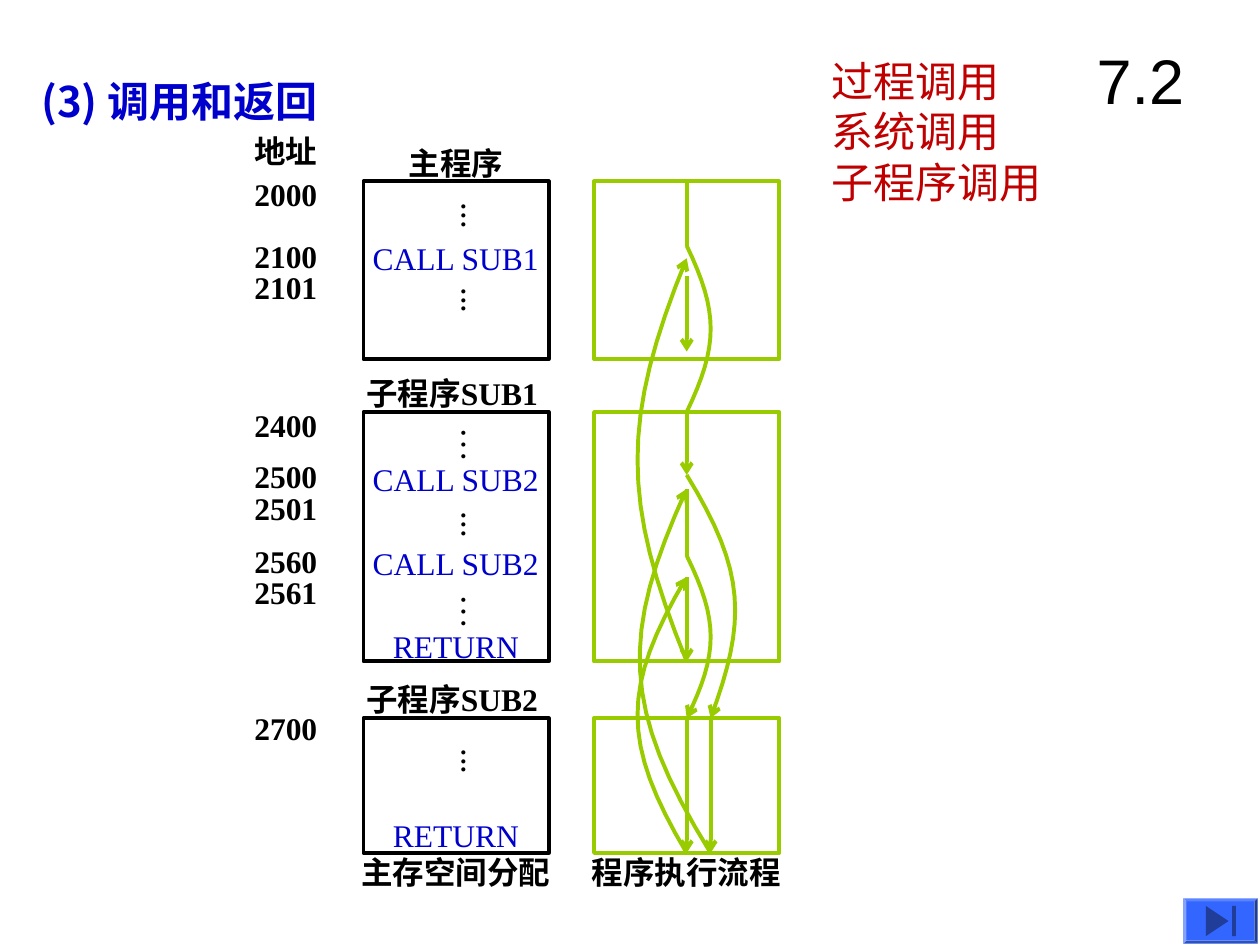
"""Build the slide on subroutine calls and returns."""
from dataclasses import dataclass

from lxml.etree import SubElement
from pptx import Presentation
from pptx.dml.color import RGBColor
from pptx.enum.shapes import MSO_CONNECTOR, MSO_SHAPE
from pptx.enum.text import MSO_ANCHOR, PP_ALIGN
from pptx.oxml.ns import qn
from pptx.util import Inches, Pt

COLORS = {
    "black": "000000", "blue": "0000CC", "green": "99CC00",
    "red": "C00000", "button": "3366FF", "symbol": "1F3D99",
}
CJK = "Noto Sans CJK SC"
SERIF = "Times New Roman"
LINE_WIDTH = 2.25
CURVE_STEPS = 16

ADDRESS_CENTER = 2.27
MEMORY_CENTER = 3.62
FLOW_CENTER = 5.45
SECOND_PASS = 5.64
ELLIPSIS_CENTER = 3.73
BLOCK_WIDTH = 1.47
TITLE_RISE = 0.35


@dataclass
class Program:
    title: str
    title_width: float
    top: float
    height: float
    addresses: dict
    instructions: list
    ellipses: list

    @property
    def bottom(self):
        return self.top + self.height


MAIN = Program(
    "主程序", 0.95, 1.44, 1.41,
    addresses={"2000": 1.34, "2100": 1.83, "2101": 2.08},
    instructions=[("CALL SUB1", 1.85)],
    ellipses=[("...", 1.51), ("...", 2.18)])
SUB1 = Program(
    "子程序SUB1", 1.62, 3.27, 1.98,
    addresses={"2400": 3.17, "2500": 3.58, "2501": 3.83,
               "2560": 4.25, "2561": 4.5},
    instructions=[("CALL SUB2", 3.6), ("CALL SUB2", 4.27), ("RETURN", 4.93)],
    ellipses=[("…", 3.29), ("...", 3.96), ("…", 4.62)])
SUB2 = Program(
    "子程序SUB2", 1.62, 5.7, 1.07,
    addresses={"2700": 5.58},
    instructions=[("RETURN", 6.43)],
    ellipses=[("...", 5.84)])
PROGRAMS = [MAIN, SUB1, SUB2]

INSTRUCTION_WIDTHS = {"CALL SUB1": 1.52, "CALL SUB2": 1.52, "RETURN": 1.2}
ELLIPSIS_HEIGHTS = {"...": 0.31, "…": 0.38}

CALL_SUB1, AFTER_SUB1, MAIN_END = 1.95, 2.05, 2.79
FIRST_CALL_SUB2, AFTER_FIRST = 3.77, 3.88
SECOND_CALL_SUB2, AFTER_SECOND = 4.41, 4.58

# Each step is (x, start, end, has arrowhead).
STEPS = [
    (FLOW_CENTER, MAIN.top, CALL_SUB1, False),
    (FLOW_CENTER, AFTER_SUB1 + 0.14, MAIN_END, True),
    (FLOW_CENTER, SUB1.top, FIRST_CALL_SUB2, True),
    (FLOW_CENTER, AFTER_FIRST, SECOND_CALL_SUB2, False),
    (FLOW_CENTER, AFTER_SECOND, SUB1.bottom, True),
    (FLOW_CENTER, SUB2.top, SUB2.bottom, True),
    (SECOND_PASS, SUB2.top, SUB2.bottom, True),
]
# Each jump is (start, end, x at the middle of the bend, has arrowhead).
JUMPS = [
    ((FLOW_CENTER, CALL_SUB1), (FLOW_CENTER, SUB1.top), 5.64, False),
    ((FLOW_CENTER, FIRST_CALL_SUB2), (SECOND_PASS, SUB2.top), 5.83, True),
    ((FLOW_CENTER, SECOND_CALL_SUB2), (FLOW_CENTER, SUB2.top), 5.64, True),
    ((SECOND_PASS, SUB2.bottom), (FLOW_CENTER, AFTER_FIRST), 5.08, True),
    ((FLOW_CENTER, SUB2.bottom), (FLOW_CENTER, AFTER_SECOND), 5.06, True),
    ((FLOW_CENTER, SUB1.bottom), (FLOW_CENTER, AFTER_SUB1), 5.06, True),
]


def rgb(name):
    return RGBColor.from_string(COLORS[name])


def add_text(slide, text, center, top, width, height=0.4, size=18, font=SERIF,
             color="black", bold=False, wrap=False, vertical=False,
             align=PP_ALIGN.LEFT, anchor=MSO_ANCHOR.TOP):
    box = slide.shapes.add_textbox(
        *map(Inches, (center - width / 2, top, width, height)))
    frame = box.text_frame
    frame.word_wrap = wrap
    frame.vertical_anchor = anchor
    if vertical:
        frame._txBody.bodyPr.set("vert", "eaVert")
        frame.margin_left = frame.margin_right = Inches(0.05)
        frame.margin_top = frame.margin_bottom = Inches(0.1)
    frame.text = text
    for paragraph in frame.paragraphs:
        paragraph.alignment = align
        paragraph.font.size = Pt(size)
        paragraph.font.bold = bold
        paragraph.font.color.rgb = rgb(color)
        paragraph.font.name = font
        SubElement(paragraph.font._element, qn("a:ea"), typeface=CJK)


def style_line(shape, color, arrow=False):
    shape.line.color.rgb = rgb(color)
    shape.line.width = Pt(LINE_WIDTH)
    if arrow:
        SubElement(shape.line._get_or_add_ln(), qn("a:tailEnd"),
                   type="arrow", w="med", len="med")


def add_step(slide, x, start, end, arrow):
    connector = slide.shapes.add_connector(
        MSO_CONNECTOR.STRAIGHT, *map(Inches, (x, start, x, end)))
    style_line(connector, "green", arrow)
    SubElement(connector._element.spPr, qn("a:effectLst"))


def bend_points(start, end, middle_x):
    """Sample a cubic Bezier curve that passes middle_x halfway along."""
    (x0, y0), (x3, y3) = start, end
    control_x = (8 * middle_x - x0 - x3) / 6
    xs = (x0, control_x, control_x, x3)
    ys = (y0, y0 + 0.4 * (y3 - y0), y0 + 0.6 * (y3 - y0), y3)
    for step in range(CURVE_STEPS + 1):
        t = step / CURVE_STEPS
        weights = ((1 - t) ** 3, 3 * t * (1 - t) ** 2, 3 * t * t * (1 - t), t ** 3)
        yield tuple(Inches(sum(w * value for w, value in zip(weights, values)))
                    for values in (xs, ys))


def add_jump(slide, start, end, middle_x, arrow):
    first, *rest = bend_points(start, end, middle_x)
    builder = slide.shapes.build_freeform(*first)
    builder.add_line_segments(rest, close=False)
    curve = builder.convert_to_shape()
    curve.shadow.inherit = False
    curve.fill.background()
    style_line(curve, "green", arrow)


def add_shape(slide, kind, left, top, width, height, fill=None, line=None):
    shape = slide.shapes.add_shape(kind, *map(Inches, (left, top, width, height)))
    shape.shadow.inherit = False
    if fill:
        shape.fill.solid()
        shape.fill.fore_color.rgb = rgb(fill)
    else:
        shape.fill.background()
    if line:
        style_line(shape, line)
    else:
        shape.line.fill.background()
    return shape


def add_program(slide, program):
    for center, color in ((MEMORY_CENTER, "black"), (FLOW_CENTER, "green")):
        add_shape(slide, MSO_SHAPE.RECTANGLE, center - BLOCK_WIDTH / 2,
                  program.top, BLOCK_WIDTH, program.height, line=color)
    add_text(slide, program.title, MEMORY_CENTER, program.top - TITLE_RISE,
             program.title_width, bold=True)
    for address, top in program.addresses.items():
        add_text(slide, address, ADDRESS_CENTER, top, 0.7, bold=True)
    for text, top in program.instructions:
        add_text(slide, text, MEMORY_CENTER, top, INSTRUCTION_WIDTHS[text],
                 color="blue")
    for text, top in program.ellipses:
        add_text(slide, text, ELLIPSIS_CENTER, top, 0.53,
                 ELLIPSIS_HEIGHTS[text], size=20, vertical=True)


def add_end_button(slide):
    button = add_shape(slide, MSO_SHAPE.BEVEL, 9.39, 7.13, 0.59, 0.36, "button")
    button.adjustments[0] = 0.07
    triangle = add_shape(slide, MSO_SHAPE.ISOSCELES_TRIANGLE,
                         9.54, 7.22, 0.24, 0.18, "symbol")
    triangle.rotation = 90
    add_shape(slide, MSO_SHAPE.RECTANGLE, 9.78, 7.19, 0.03, 0.24, "symbol")


def main():
    presentation = Presentation()
    presentation.slide_width, presentation.slide_height = Inches(10), Inches(7.5)
    slide = presentation.slides.add_slide(presentation.slide_layouts[6])
    add_text(slide, "(3) 调用和返回", 3.08, 0.55, 5.7, 0.5, size=24, font=CJK,
             color="blue", bold=True, wrap=True)
    for jump in JUMPS:
        add_jump(slide, *jump)
    for step in STEPS:
        add_step(slide, *step)
    for program in PROGRAMS:
        add_program(slide, program)
    add_text(slide, "地址", ADDRESS_CENTER, 1, 0.7, bold=True)
    for text, center in (("主存空间分配", MEMORY_CENTER), ("程序执行流程", FLOW_CENTER)):
        add_text(slide, text, center, 6.72, 1.7, bold=True)
    add_text(slide, "7.2", 9.05, 0.17, 1.25, 0.92, size=36, font="Arial",
             wrap=True, align=PP_ALIGN.CENTER, anchor=MSO_ANCHOR.MIDDLE)
    add_text(slide, "过程调用\n系统调用\n子程序调用", 7.45, 0.39, 1.9, 1.3,
             size=24, font=CJK, color="red")
    add_end_button(slide)
    presentation.save("out.pptx")


if __name__ == "__main__":
    main()
